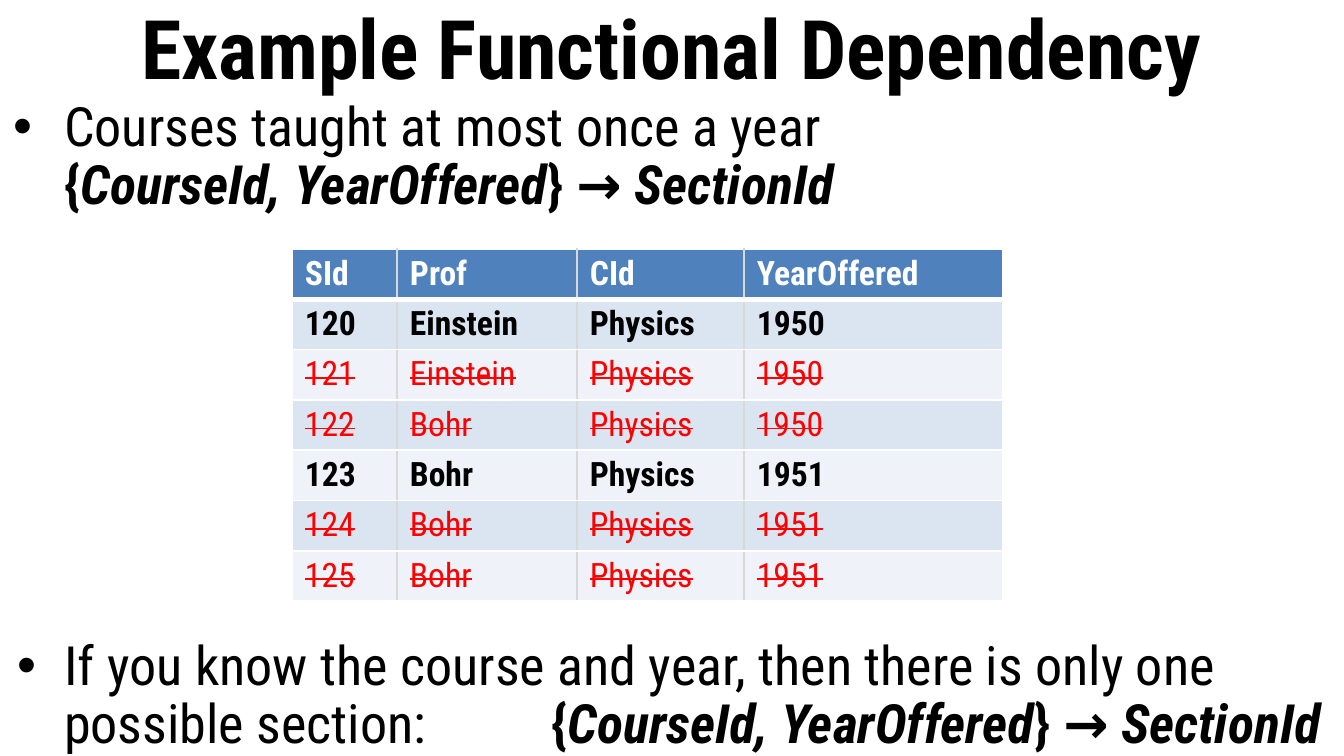
from lxml.etree import SubElement
from pptx import Presentation
from pptx.dml.color import RGBColor
from pptx.enum.text import MSO_ANCHOR as Anchor, PP_ALIGN as Align
from pptx.oxml import parse_xml
from pptx.oxml.ns import nsdecls, qn
from pptx.util import Pt

TITLE = "Example Functional Dependency"
# Each span is (text, bold, italic)
DEPENDENCY = [
    ("{", True, False),
    ("CourseId, YearOffered", True, True),
    ("} →", True, False),
    (" SectionId", True, True),
]
# Each bullet is (spans, hanging indent in px, space before in px)
BULLETS = [
    ([("Courses taught at most once a year\n", False, False)] + DEPENDENCY, 51, 0),
    ([("If you know the course and year, then there is only one possible section:\t",
       False, False)] + DEPENDENCY, 47, 422),
]
HEADER = ("SId", "Prof", "CId", "YearOffered")
SECTIONS = [
    ("120", "Einstein", "Physics", "1950"),
    ("121", "Einstein", "Physics", "1950"),
    ("122", "Bohr", "Physics", "1950"),
    ("123", "Bohr", "Physics", "1951"),
    ("124", "Bohr", "Physics", "1951"),
    ("125", "Bohr", "Physics", "1951"),
]
VALID_IDS = {"120", "123"}

COLORS = {
    "text": "000000", "header_text": "FFFFFF", "invalid": "FF0000",
    "header": "4F81BD", "band_dark": "DBE5F1", "band_light": "EFF3F9",
    "rule": "FFFFFF", "divider": "D8D8D8",
}
FONT = "Roboto Condensed"
SCALE = 914400 / 134.4

SLIDE_SIZE = (1344, 756)
TITLE_BOX = (0, 0, 1344, 93)
BODY_BOX = (0, 93, 1344, 663)
TABLE_LEFT, TABLE_TOP = 292, 249
COLUMN_WIDTHS = (105, 180, 167, 259)
ROW_HEIGHT = 49
TEXT_INDENT = 51
TAB_STOP = 538


def px(length):
    return round(length * SCALE)


def place(shape, box):
    shape.left, shape.top, shape.width, shape.height = map(px, box)


def add_text(para, text, size, color="text", bold=False, italic=False, strike=False):
    """Add a span to the paragraph; a final newline becomes a line break."""
    span = para.add_run()
    span.text = text.rstrip("\n")
    font = span.font
    font.name, font.size = FONT, Pt(size)
    font.bold, font.italic = bold, italic
    font.color.rgb = RGBColor.from_string(COLORS[color])
    if strike:
        font._element.set("strike", "sngStrike")
    if text.endswith("\n"):
        para.add_line_break()


def set_bullet(para, hanging):
    props = para._p.get_or_add_pPr()
    props.set("marL", str(px(TEXT_INDENT)))
    props.set("indent", str(-px(hanging)))
    SubElement(props, qn("a:buFont"), typeface="Arial")
    SubElement(props, qn("a:buChar"), char="•")
    tabs = SubElement(props, qn("a:tabLst"))
    SubElement(tabs, qn("a:tab"), pos=str(px(TAB_STOP)), algn="l")


def set_borders(cell, **sides):
    """Draw cell borders, each side given as (colour name, points)."""
    props = cell._tc.get_or_add_tcPr()
    for index, (side, (color, width)) in enumerate(sides.items()):
        props.insert(index, parse_xml(
            f'<a:ln{side} {nsdecls("a")} w="{Pt(width)}"><a:solidFill>'
            f'<a:srgbClr val="{COLORS[color]}"/></a:solidFill></a:ln{side}>'))


def add_title(page):
    title = page.shapes.title
    place(title, TITLE_BOX)
    title.text_frame.vertical_anchor = Anchor.MIDDLE
    para = title.text_frame.paragraphs[0]
    para.alignment = Align.CENTER
    add_text(para, TITLE, 44, bold=True)


def add_bullets(page):
    box = page.shapes.add_textbox(*map(px, BODY_BOX))
    frame = box.text_frame
    frame.word_wrap = True
    for index, (spans, hanging, gap) in enumerate(BULLETS):
        para = frame.add_paragraph() if index else frame.paragraphs[0]
        para.line_spacing = 0.9
        para.space_before = px(gap)
        set_bullet(para, hanging)
        for text, bold, italic in spans:
            add_text(para, text, 29, bold=bold, italic=italic)


def add_sections(page):
    rows = [HEADER] + SECTIONS
    last = len(HEADER) - 1
    table = page.shapes.add_table(
        len(rows), len(HEADER), px(TABLE_LEFT), px(TABLE_TOP),
        px(sum(COLUMN_WIDTHS)), px(ROW_HEIGHT * len(rows))).table
    for column, width in zip(table.columns, COLUMN_WIDTHS):
        column.width = px(width)
    for r, values in enumerate(rows):
        table.rows[r].height = px(ROW_HEIGHT)
        header = r == 0
        invalid = not header and values[0] not in VALID_IDS
        fill = "header" if header else "band_dark" if r % 2 else "band_light"
        color = "header_text" if header else "invalid" if invalid else "text"
        for c, value in enumerate(values):
            cell = table.cell(r, c)
            cell.margin_left = cell.margin_right = px(13)
            cell.margin_top = cell.margin_bottom = px(5)
            cell.fill.solid()
            cell.fill.fore_color.rgb = RGBColor.from_string(COLORS[fill])
            add_text(cell.text_frame.paragraphs[0], value, 18, color,
                     bold=not invalid, strike=invalid)
            set_borders(
                cell,
                L=("divider" if c else "rule", 1),
                R=("divider" if c < last else "rule", 1),
                T=("rule", 3 if r == 1 else 1),
                B=("rule", 3 if header else 1))


def main():
    deck = Presentation()
    deck.slide_width, deck.slide_height = map(px, SLIDE_SIZE)
    page = deck.slides.add_slide(deck.slide_layouts.get_by_name("Title Only"))
    add_title(page)
    add_bullets(page)
    add_sections(page)
    deck.save("out.pptx")


if __name__ == "__main__":
    main()
